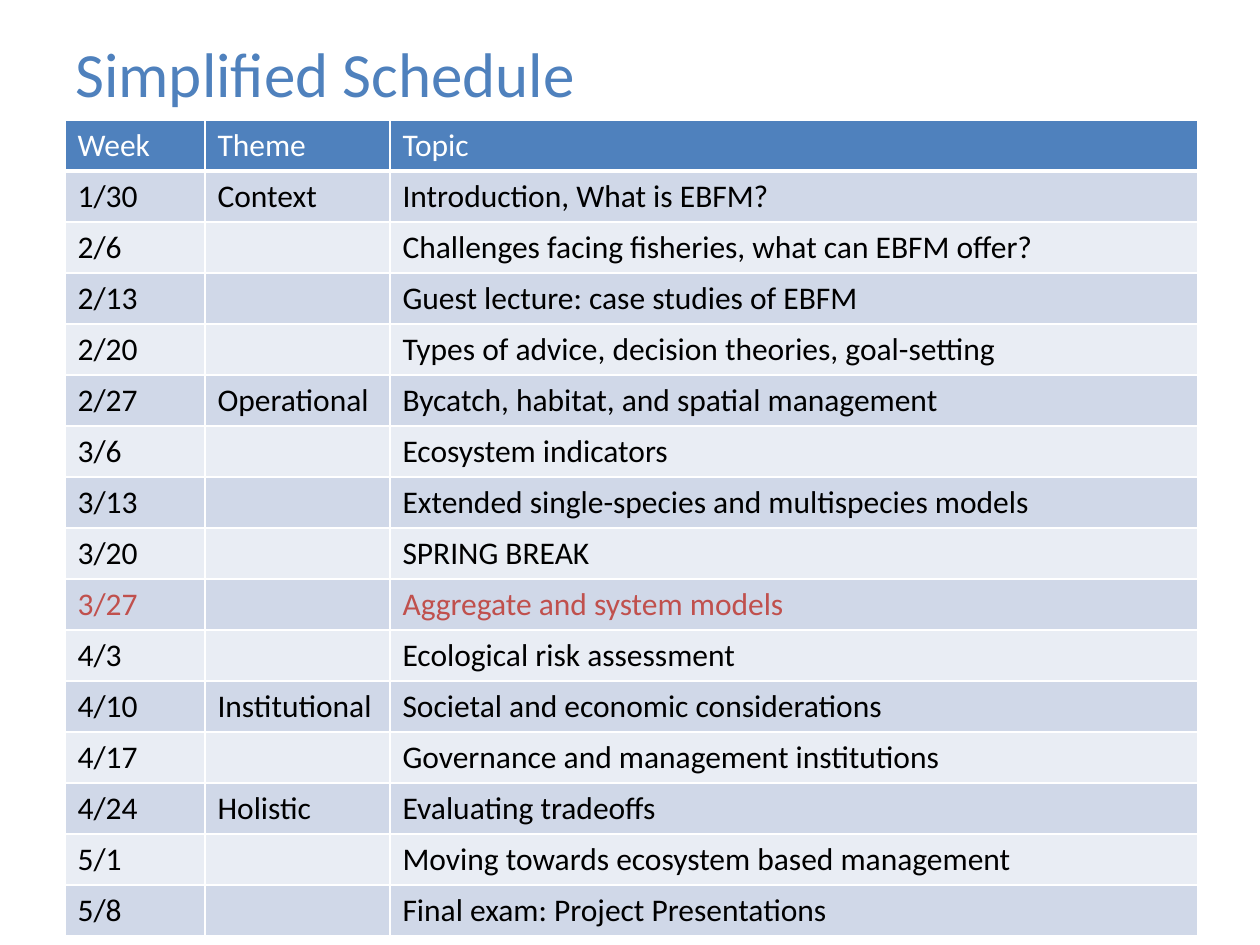
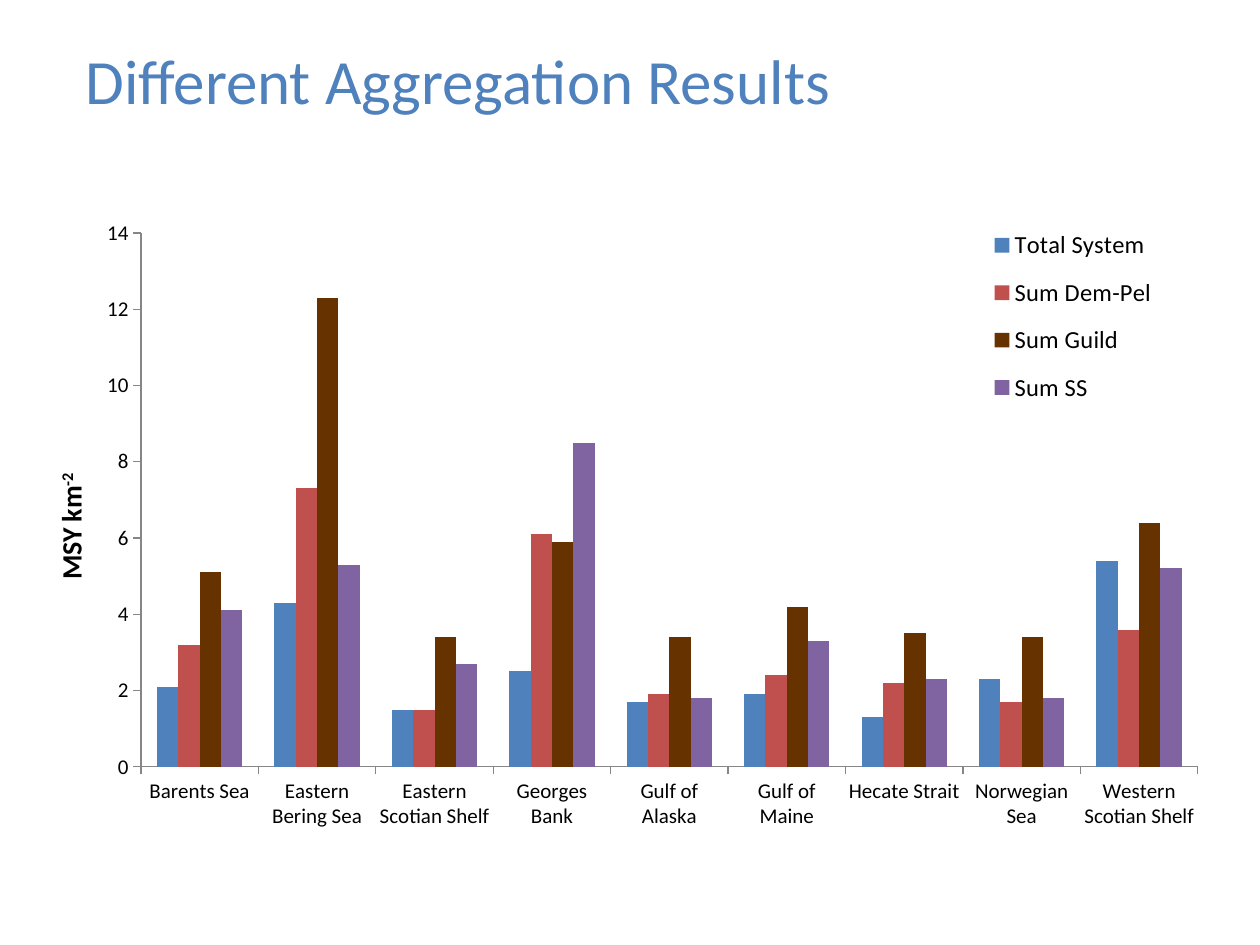
"""Build a course schedule slide and a chart slide of aggregation results."""
from lxml.etree import SubElement
from pptx import Presentation
from pptx.chart.data import CategoryChartData
from pptx.dml.color import RGBColor
from pptx.enum.chart import XL_CHART_TYPE, XL_LEGEND_POSITION, XL_TICK_MARK
from pptx.enum.text import MSO_ANCHOR
from pptx.oxml.ns import qn
from pptx.util import Emu, Pt

FONT = "Calibri"
BLUE = RGBColor(0x4F, 0x81, 0xBD)
RED = RGBColor(0xC0, 0x50, 0x4D)
BROWN = RGBColor(0x66, 0x33, 0x00)
PURPLE = RGBColor(0x80, 0x64, 0xA2)
BLACK = RGBColor(0x00, 0x00, 0x00)
WHITE = RGBColor(0xFF, 0xFF, 0xFF)
AXIS_GREY = RGBColor(0x86, 0x86, 0x86)
BANDS = [RGBColor(0xE9, 0xED, 0xF4), RGBColor(0xD0, 0xD8, 0xE8)]

SCHEDULE = [
    ("Week", "Theme", "Topic"),
    ("1/30", "Context", "Introduction, What is EBFM?"),
    ("2/6", "", "Challenges facing fisheries, what can EBFM offer?"),
    ("2/13", "", "Guest lecture: case studies of EBFM"),
    ("2/20", "", "Types of advice, decision theories, goal-setting"),
    ("2/27", "Operational", "Bycatch, habitat, and spatial management"),
    ("3/6", "", "Ecosystem indicators"),
    ("3/13", "", "Extended single-species and multispecies models"),
    ("3/20", "", "SPRING BREAK"),
    ("3/27", "", "Aggregate and system models"),
    ("4/3", "", "Ecological risk assessment"),
    ("4/10", "Institutional", "Societal and economic considerations"),
    ("4/17", "", "Governance and management institutions"),
    ("4/24", "Holistic", "Evaluating tradeoffs"),
    ("5/1", "", "Moving towards ecosystem based management"),
    ("5/8", "", "Final exam: Project Presentations"),
]
CURRENT_WEEK = "3/27"
COLUMN_WIDTHS = [140, 185, 808]
ROW_HEIGHT = 51

REGIONS = [
    "Barents Sea", "Eastern Bering Sea", "Eastern Scotian Shelf",
    "Georges Bank", "Gulf of Alaska", "Gulf of Maine", "Hecate Strait",
    "Norwegian Sea", "Western Scotian Shelf",
]
AGGREGATIONS = [
    ("Total System", BLUE, [2.1, 4.3, 1.5, 2.5, 1.7, 1.9, 1.3, 2.3, 5.4]),
    ("Sum Dem-Pel", RED, [3.2, 7.3, 1.5, 6.1, 1.9, 2.4, 2.2, 1.7, 3.6]),
    ("Sum Guild", BROWN, [5.1, 12.3, 3.4, 5.9, 3.4, 4.2, 3.5, 3.4, 6.4]),
    ("Sum SS", PURPLE, [4.1, 5.3, 2.7, 8.5, 1.8, 3.3, 2.3, 1.8, 5.2]),
]
CHART_BOX = (32, 189, 1187, 683)
PLOT_BOX = (141, 233, 1057, 534)
LEGEND_BOX = (990, 213, 166, 207)
AXIS_TITLE_CORNER = (49, 470)


def px(length):
    return Emu(round(length * 914400 / 126))


def style(font, size, color, bold=False):
    font.name, font.size, font.bold = FONT, Pt(size), bold
    font.color.rgb = color


def add_run(paragraph, text, size, color, bold=False):
    run = paragraph.add_run()
    run.text = text
    style(run.font, size, color, bold)
    return run


def add_title(slide, text, box):
    frame = slide.shapes.add_textbox(*map(px, box)).text_frame
    frame.word_wrap = True
    frame.vertical_anchor = MSO_ANCHOR.MIDDLE
    add_run(frame.paragraphs[0], text, 36, BLUE)


def add_borders(cell, bottom):
    properties = cell._tc.get_or_add_tcPr()
    for side, width in (("L", 1), ("R", 1), ("T", 1), ("B", bottom)):
        line = SubElement(properties, qn(f"a:ln{side}"), w=str(Pt(width)))
        fill = SubElement(line, qn("a:solidFill"))
        SubElement(fill, qn("a:srgbClr"), val=str(WHITE))


def add_schedule(slide, left, top):
    size = sum(COLUMN_WIDTHS), ROW_HEIGHT * len(SCHEDULE)
    table = slide.shapes.add_table(
        len(SCHEDULE), len(COLUMN_WIDTHS), *map(px, (left, top, *size))).table
    for column, width in zip(table.columns, COLUMN_WIDTHS):
        column.width = px(width)
    for index, entry in enumerate(SCHEDULE):
        table.rows[index].height = px(ROW_HEIGHT)
        header = index == 0
        color = WHITE if header else RED if entry[0] == CURRENT_WEEK else BLACK
        for cell, text in zip(table.rows[index].cells, entry):
            add_borders(cell, 3 if header else 1)
            cell.fill.solid()
            cell.fill.fore_color.rgb = BLUE if header else BANDS[index % 2]
            if text:
                add_run(cell.text_frame.paragraphs[0], text, 18, color)


def set_layout(parent, box, position, target=None):
    for old in parent.findall(qn("c:layout")):
        parent.remove(old)
    layout = SubElement(parent, qn("c:layout"))
    parent.insert(position, layout)
    manual = SubElement(layout, qn("c:manualLayout"))
    if target:
        SubElement(manual, qn("c:layoutTarget"), val=target)
    for mode in ("xMode", "yMode"):
        SubElement(manual, qn(f"c:{mode}"), val="edge")
    left, top, width, height = CHART_BOX
    origins, spans = (left, top, 0, 0), (width, height, width, height)
    for key, value, origin, span in zip("xywh", box, origins, spans):
        SubElement(manual, qn(f"c:{key}"), val=f"{(value - origin) / span:.4f}")


def style_axis(axis):
    axis.has_major_gridlines = False
    axis.major_tick_mark = XL_TICK_MARK.OUTSIDE
    axis.minor_tick_mark = XL_TICK_MARK.NONE
    axis.format.line.color.rgb = AXIS_GREY
    axis.format.line.width = Pt(0.75)
    style(axis.tick_labels.font, 12, BLACK)


def add_value_title(axis):
    frame = axis.axis_title.text_frame
    add_run(frame.paragraphs[0], "MSY km", 16, BLACK, True)
    exponent = add_run(frame.paragraphs[0], "-2", 16, BLACK, True)
    exponent.font._element.set("baseline", "30000")
    body = frame._txBody.find(qn("a:bodyPr"))
    body.set("rot", "-5400000")
    body.set("vert", "horz")
    set_layout(axis.axis_title._element, AXIS_TITLE_CORNER, 1)


def add_results_chart(slide):
    data = CategoryChartData()
    data.categories = REGIONS
    for name, _, values in AGGREGATIONS:
        data.add_series(name, values)
    chart = slide.shapes.add_chart(
        XL_CHART_TYPE.COLUMN_CLUSTERED, *map(px, CHART_BOX), data).chart
    style(chart.font, 10, BLACK)
    chart.has_title = False
    plot = chart.plots[0]
    plot.gap_width, plot.overlap, plot.vary_by_categories = 150, 0, False
    for series, (_, color, _) in zip(plot.series, AGGREGATIONS):
        series.format.fill.solid()
        series.format.fill.fore_color.rgb = color
        series.invert_if_negative = False
    for axis in (chart.category_axis, chart.value_axis):
        style_axis(axis)
    scale = chart.value_axis
    scale.minimum_scale, scale.maximum_scale, scale.major_unit = 0, 14, 2
    scale.tick_labels.number_format = "General"
    scale.tick_labels.number_format_is_linked = False
    add_value_title(scale)
    chart.has_legend = True
    chart.legend.position = XL_LEGEND_POSITION.RIGHT
    chart.legend.include_in_layout = False
    style(chart.legend.font, 14, BLACK)
    set_layout(chart.legend._element, LEGEND_BOX, 1)
    set_layout(chart._chartSpace.chart.plotArea, PLOT_BOX, 0, "inner")


def main():
    deck = Presentation()
    deck.slide_width, deck.slide_height = px(1260), px(945)
    blank = deck.slide_layouts[6]

    schedule = deck.slides.add_slide(blank)
    add_title(schedule, "Simplified Schedule", (63, 25, 1134, 95))
    add_schedule(schedule, 65, 120)

    results = deck.slides.add_slide(blank)
    add_results_chart(results)
    add_title(results, "Different Aggregation Results", (73, 0, 1134, 158))

    deck.save("out.pptx")


if __name__ == "__main__":
    main()
